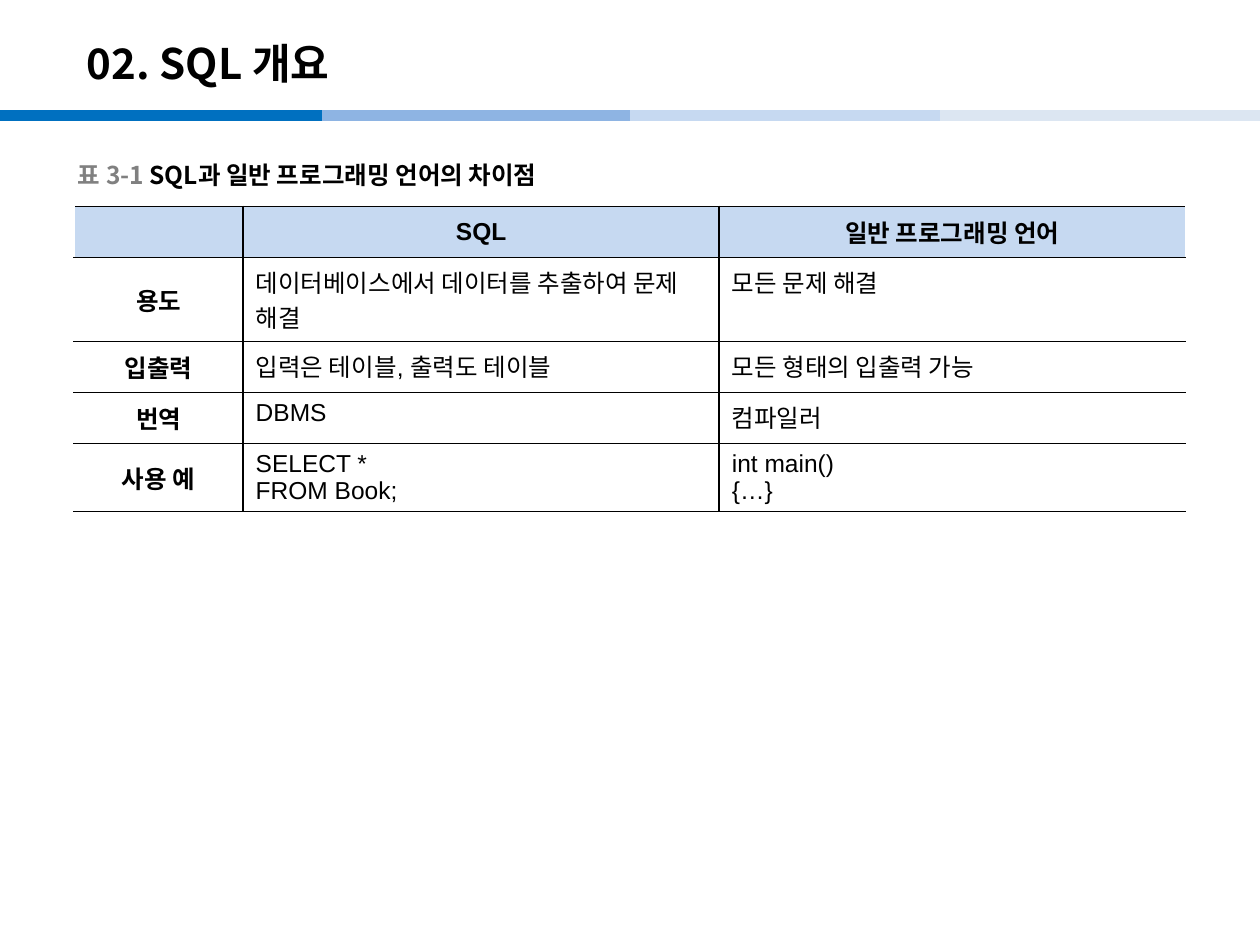
from lxml import etree
from pptx import Presentation
from pptx.dml.color import RGBColor
from pptx.enum import shapes, text
from pptx.oxml import ns
from pptx.util import Pt

COLORS = {
    "black": "000000", "gray": "808080", "white": "FFFFFF", "header": "C6D9F1",
    "band1": "0070C0", "band2": "8EB4E3", "band3": "C6D9F1", "band4": "DCE6F2",
}
KOREAN = "Noto Sans CJK KR"
ROWS = [
    ("", "SQL", "일반 프로그래밍 언어"),
    ("용도", "데이터베이스에서 데이터를 추출하여 문제 해결", "모든 문제 해결"),
    ("입출력", "입력은 테이블, 출력도 테이블", "모든 형태의 입출력 가능"),
    ("번역", "DBMS", "컴파일러"),
    ("사용 예", "SELECT *\nFROM Book;", "int main()\n{…}"),
]


def rgb(name):
    return RGBColor.from_string(COLORS[name])


def add_span(para, wording, font=KOREAN, size=14, color="black", bold=True,
             align=text.PP_ALIGN.LEFT):
    para.alignment = align
    span = para.add_run()
    span.text = wording
    span.font.name = font
    span.font.size = Pt(size)
    span.font.bold = bold
    span.font.color.rgb = rgb(color)
    east_asian = etree.SubElement(span.font._element, ns.qn("a:ea"))
    east_asian.set("typeface", KOREAN)


def add_title(page, left, top, width, height):
    title = page.shapes.title
    title.left, title.top, title.width, title.height = map(Pt, (left, top, width, height))
    title.text_frame.vertical_anchor = text.MSO_ANCHOR.MIDDLE
    add_span(title.text_frame.paragraphs[0], "02. SQL 개요", size=24)


def add_color_band(page, y):
    starts = (0, 184.3, 360, 537.1)
    for number, start in enumerate(starts, 1):
        line = page.shapes.add_connector(
            shapes.MSO_CONNECTOR.STRAIGHT, Pt(start), Pt(y), Pt(start + 184.3), Pt(y))
        line.line.color.rgb = rgb(f"band{number}")
        line.line.width = Pt(6)
        etree.SubElement(line._element.spPr, ns.qn("a:effectLst"))


def add_caption(page, left, top, width, height):
    box = page.shapes.add_textbox(Pt(left), Pt(top), Pt(width), Pt(height))
    box.text_frame.word_wrap = True
    box.text_frame.vertical_anchor = text.MSO_ANCHOR.MIDDLE
    para = box.text_frame.paragraphs[0]
    add_span(para, "표 3-1 ", color="gray")
    add_span(para, "SQL과 일반 프로그래밍 언어의 차이점")


def set_borders(cell, sides):
    """Draw 1 pt black borders on the named sides, ahead of the cell's fill."""
    properties = cell._tc.get_or_add_tcPr()
    for index, side in enumerate(sides):
        border = etree.Element(ns.qn(f"a:ln{side}"), w=str(Pt(1)))
        fill = etree.SubElement(border, ns.qn("a:solidFill"))
        etree.SubElement(fill, ns.qn("a:srgbClr"), val=COLORS["black"])
        properties.insert(index, border)


def add_comparison(page, left, top, widths, row_height):
    frame = page.shapes.add_table(len(ROWS), len(widths), Pt(left), Pt(top),
                                  Pt(sum(widths)), Pt(row_height * len(ROWS)))
    table = frame.table
    table.first_row = table.horz_banding = False
    for column, width in zip(table.columns, widths):
        column.width = Pt(width)
    column_sides = ("RTB", "LRTB", "LTB")
    for r, row in enumerate(ROWS):
        table.rows[r].height = Pt(row_height)
        for c, wording in enumerate(row):
            cell = table.cell(r, c)
            heading = r == 0 or c == 0
            cell.fill.solid()
            cell.fill.fore_color.rgb = rgb("white" if r else "header")
            set_borders(cell, column_sides[c])
            if heading:
                cell.vertical_anchor = text.MSO_ANCHOR.MIDDLE
            align = text.PP_ALIGN.CENTER if heading else text.PP_ALIGN.LEFT
            frame_text = cell.text_frame
            for number, line in enumerate(wording.split("\n")):
                para = frame_text.add_paragraph() if number else frame_text.paragraphs[0]
                if line:
                    add_span(para, line, font="Arial", bold=heading, align=align)


def main():
    deck = Presentation()
    deck.slide_width, deck.slide_height = Pt(720), Pt(540)
    page = deck.slides.add_slide(deck.slide_layouts[5])
    add_color_band(page, 66)
    add_title(page, 42.5, 14.4, 595.4, 43.2)
    add_comparison(page, 42.4, 117.9, (96.5, 272.1, 266.4), 29.2)
    add_caption(page, 37.4, 88.6, 320, 22.3)
    deck.save("out.pptx")


if __name__ == "__main__":
    main()
